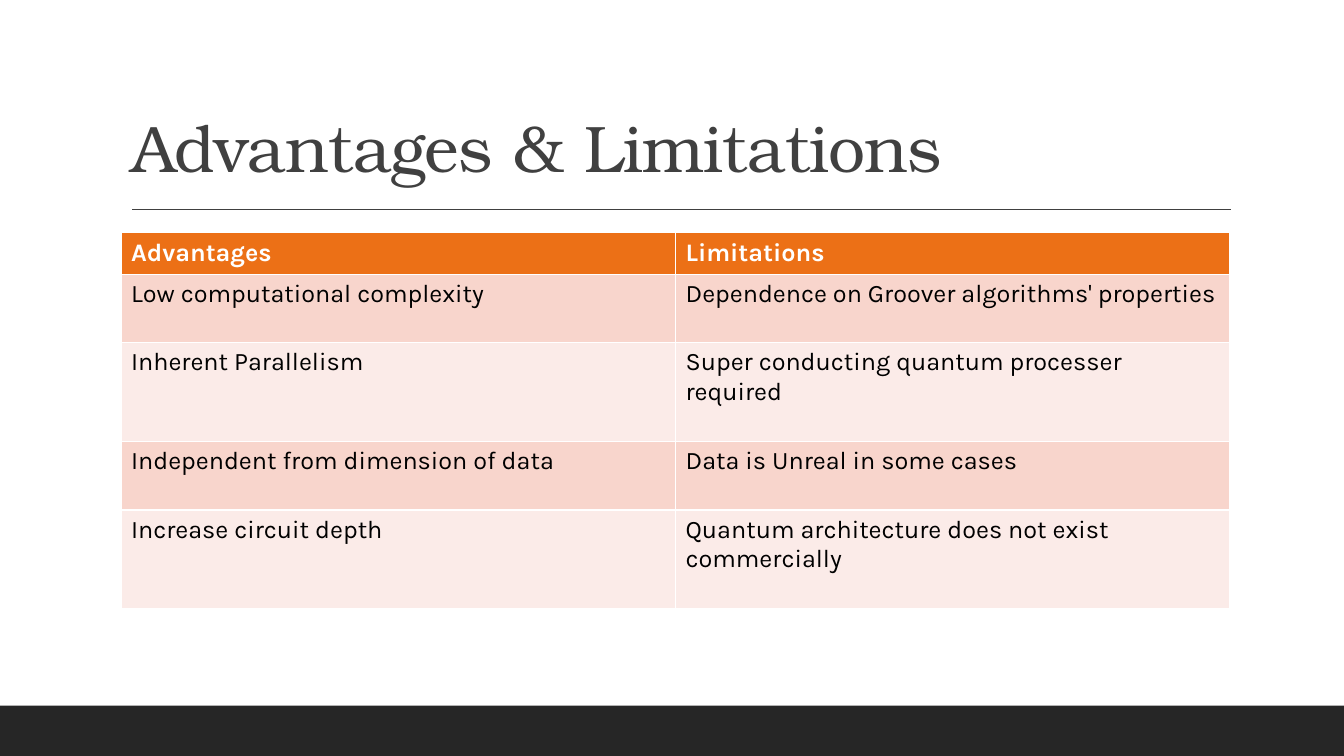
from pptx import Presentation
from pptx.dml.color import RGBColor
from pptx.enum.shapes import MSO_CONNECTOR, MSO_SHAPE
from pptx.enum.text import MSO_ANCHOR, PP_ALIGN
from pptx.util import Inches, Pt
from lxml.etree import SubElement
from pptx.oxml.ns import qn

WHITE = RGBColor(0xFF, 0xFF, 0xFF)
BLACK = RGBColor(0x00, 0x00, 0x00)
GRAY = RGBColor(0x40, 0x40, 0x40)
DARK = RGBColor(0x26, 0x26, 0x26)
ORANGE = RGBColor(0xEC, 0x70, 0x16)
PINK = RGBColor(0xF8, 0xD5, 0xCC)
PALE = RGBColor(0xFB, 0xEB, 0xE8)

ROWS = [
    ("Advantages", "Limitations"),
    ("Low computational complexity", "Dependence on Groover algorithms' properties"),
    ("Inherent Parallelism", "Super conducting quantum processer required"),
    ("Independent from dimension of data", "Data is Unreal in some cases"),
    ("Increase circuit depth", "Quantum architecture does not exist commercially"),
]
HEIGHTS = [0.41, 0.68, 0.98, 0.68, 0.98]


def write(frame, text, font="Karla", size=18, color=BLACK, bold=False):
    para = frame.paragraphs[0]
    para.alignment = PP_ALIGN.LEFT
    run = para.add_run()
    run.text = text
    run.font.name = font
    run.font.size = Pt(size)
    run.font.bold = bold
    run.font.color.rgb = color
    return para, run


def add_title(slide, text):
    title = slide.shapes.title
    title.left, title.top = Inches(1.2), Inches(0.31)
    title.width, title.height = Inches(11), Inches(1.59)
    frame = title.text_frame
    frame.word_wrap = True
    frame.vertical_anchor = MSO_ANCHOR.BOTTOM
    para, run = write(frame, text, font="TeX Gyre Bonum", size=47, color=GRAY)
    para.line_spacing = 0.9
    run.font._element.set("spc", "-50")


def add_bar(slide):
    bar = slide.shapes.add_shape(
        MSO_SHAPE.RECTANGLE, 0, Inches(7), Inches(13.33), Inches(0.5))
    bar.shadow.inherit = False
    bar.fill.solid()
    bar.fill.fore_color.rgb = DARK
    bar.line.fill.background()


def add_rule(slide):
    rule = slide.shapes.add_connector(
        MSO_CONNECTOR.STRAIGHT, Inches(1.31), Inches(2.08), Inches(12.21), Inches(2.08))
    rule.line.color.rgb = GRAY
    rule.line.width = Pt(1)
    SubElement(rule._element.spPr, qn("a:effectLst"))


def add_grid(slide):
    grid = slide.shapes.add_table(
        len(ROWS), 2, Inches(1.2), Inches(2.31), Inches(11), Inches(sum(HEIGHTS))).table
    for i, (row, height) in enumerate(zip(ROWS, HEIGHTS)):
        grid.rows[i].height = Inches(height)
        head = i == 0
        fill = ORANGE if head else PINK if i % 2 else PALE
        for j, text in enumerate(row):
            cell = grid.cell(i, j)
            cell.fill.solid()
            cell.fill.fore_color.rgb = fill
            write(cell.text_frame, text, color=WHITE if head else BLACK, bold=head)


def main():
    deck = Presentation()
    deck.slide_width, deck.slide_height = Inches(13.33), Inches(7.5)
    slide = deck.slides.add_slide(deck.slide_layouts[5])
    add_bar(slide)
    add_rule(slide)
    add_title(slide, "Advantages & Limitations")
    add_grid(slide)
    deck.save("out.pptx")


if __name__ == "__main__":
    main()
